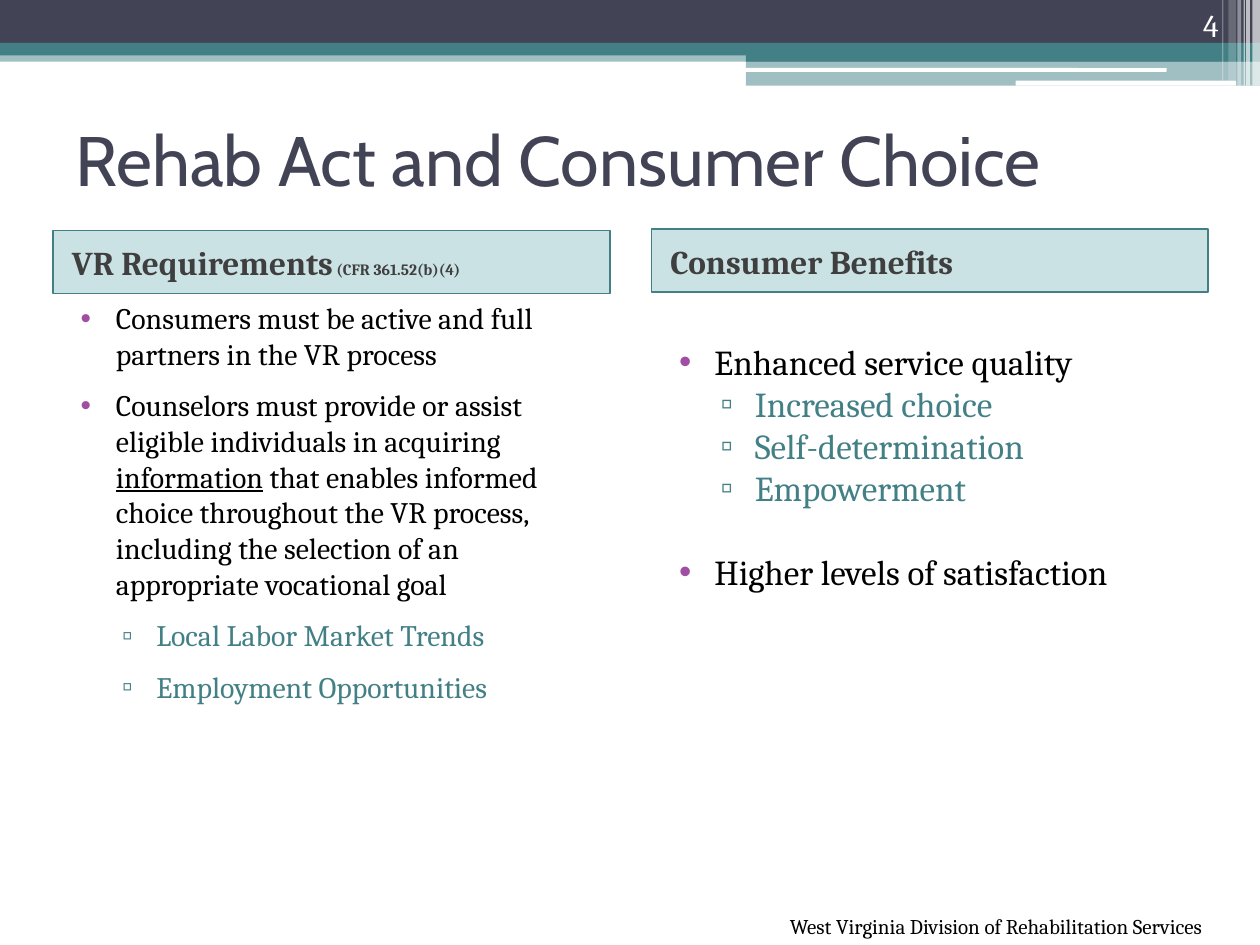
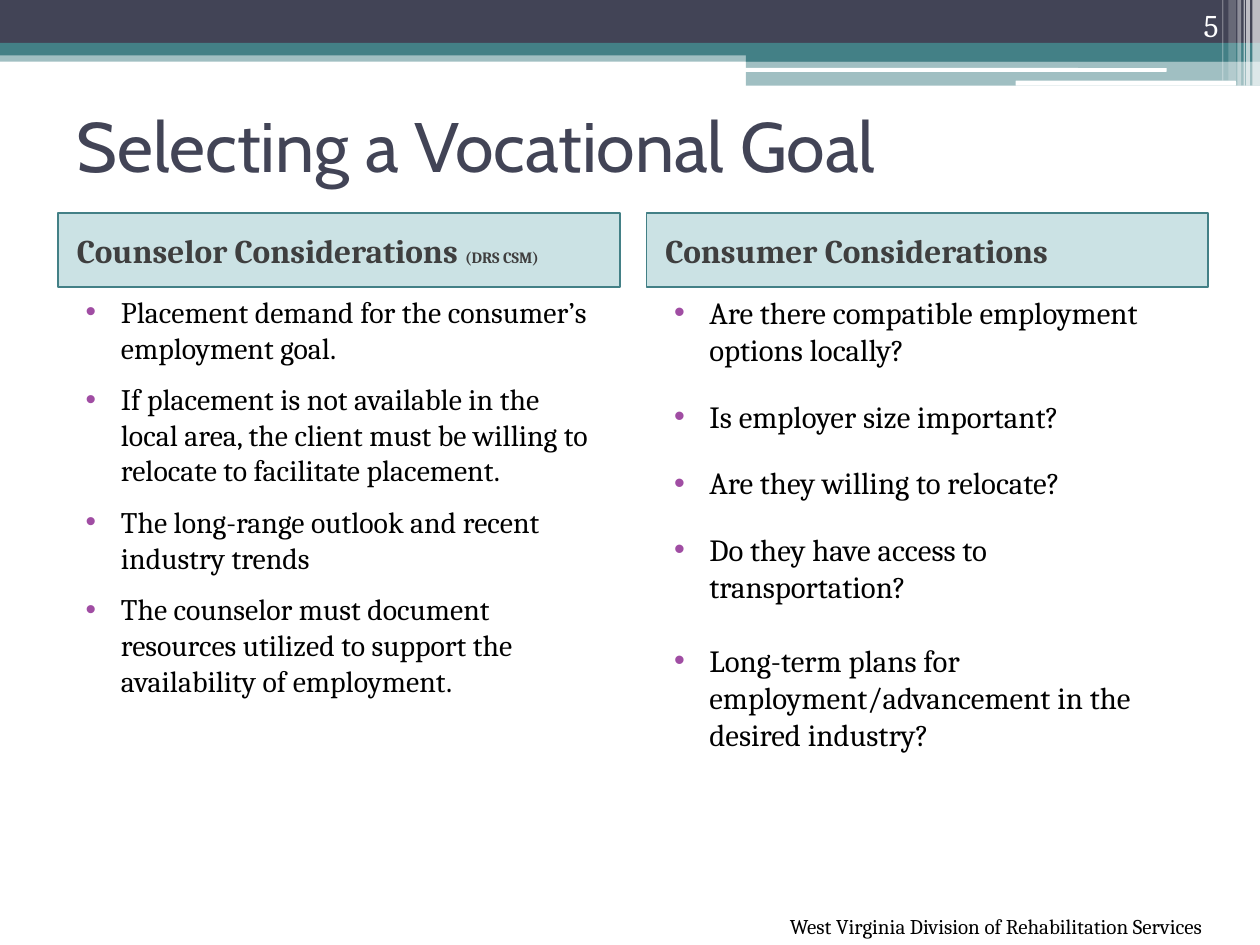
from dataclasses import dataclass

from lxml.etree import SubElement
from pptx import Presentation
from pptx.dml.color import RGBColor
from pptx.enum.shapes import MSO_SHAPE as Preset
from pptx.enum.text import MSO_ANCHOR as Anchor, MSO_AUTO_SIZE as AutoSize, PP_ALIGN as Align
from pptx.oxml.ns import qn
from pptx.util import Inches, Pt


@dataclass(frozen=True)
class Theme:
    navy: str = "424456"
    teal: str = "438086"
    label_fill: str = "328E97"
    label_text: str = "3F3F3F"
    purple: str = "A04DA3"
    white: str = "FFFFFF"
    black: str = "000000"
    title_font: str = "Cabin"
    body_font: str = "Cambria"
    title_size: float = 40
    label_size: float = 19
    note_size: float = 9
    number_size: float = 18
    footer_size: float = 12


THEME = Theme()
WIDTH, HEIGHT = 10, 7.5
LIST_SIZE = (4.42, 4.25)
COMPARISON_LAYOUT = 4

# ---- Content: list items are (level, runs, formats that differ from the list's) ----
FOOTER = "West Virginia Division of Rehabilitation Services"
SPACED = {"space_before": Pt(3), "space_after": Pt(6)}
DOUBLE = {"line_spacing": 2.0}
GAP = {"space_before": Pt(17)}

SLIDES = [
    {
        "number": 4,
        "title": "Rehab Act and Consumer Choice",
        "title_box": (0.5, 0.67, 9, 1.17),
        "label_size": (4.42, 0.5),
        "columns": [
            {
                "at": (0.42, 1.83),
                "label": "VR Requirements",
                "note": " (CFR 361.52(b)(4)",
                "size": 17,
                "format": SPACED,
                "items": [
                    (0, ["Consumers must be active and full partners in the VR process"], {}),
                    (0, ["Counselors must provide or assist eligible individuals in acquiring ",
                         ("information", {"underline": True}),
                         " that enables informed choice throughout the VR process, including "
                         "the selection of an appropriate vocational goal"], {}),
                    (1, ["Local Labor Market Trends"], {}),
                    (1, ["Employment Opportunities"], {}),
                ],
            },
            {
                "at": (5.17, 1.82),
                "label": "Consumer Benefits",
                "note": "",
                "size": 20,
                "format": {},
                "items": [
                    (0, ["Enhanced service quality"], DOUBLE),
                    (1, ["Increased choice"], {}),
                    (1, ["Self-determination"], {}),
                    (1, ["Empowerment"], {}),
                    (0, ["Higher levels of satisfaction"], DOUBLE),
                ],
            },
        ],
    },
    {
        "number": 5,
        "title": "Selecting a Vocational Goal",
        "title_box": (0.51, 0.56, 9.17, 1.17),
        "label_size": (4.46, 0.59),
        "columns": [
            {
                "at": (0.46, 1.69),
                "label": "Counselor Considerations ",
                "note": "(DRS CSM)",
                "size": 17,
                "format": SPACED,
                "items": [
                    (0, ["Placement demand for the consumer’s employment goal."], {}),
                    (0, ["If placement is not available in the local area, the client must "
                         "be willing to relocate to facilitate placement."], {}),
                    (0, ["The long-range outlook and recent industry trends"], {}),
                    (0, ["The counselor must document resources utilized to support the "
                         "availability of employment."], {}),
                ],
            },
            {
                "at": (5.13, 1.69),
                "label": "Consumer Considerations",
                "note": "",
                "size": 17.6,
                "format": GAP,
                "items": [
                    (0, ["Are there compatible employment options locally?"], {}),
                    (0, ["Is employer size important?"], {}),
                    (0, ["Are they willing to relocate?"], {}),
                    (0, ["Do they have access to transportation?"], {}),
                    (0, ["Long-term plans for employment/advancement in the desired industry?"],
                     {"space_before": Pt(21)}),
                ],
            },
        ],
    },
]

# ---- Shared design: left, top, width, height, colour, opacity in percent ----
BANDS = [
    (0, 0.4, WIDTH, 0.09, THEME.teal, 50),
    (0, 0, WIDTH, 0.34, THEME.navy, 100),
    (0, 0.34, WIDTH, 0.1, THEME.teal, 100),
    (5.92, 0.39, 4.08, 0.1, THEME.teal, 100),
    (5.92, 0.48, 4.08, 0.2, THEME.teal, 50),
]
RULES = [
    (5.91, 0.54, 3.35, 0.03, THEME.white, 100),
    (8.06, 0.64, 1.75, 0.04, THEME.white, 100),
]
# left, width, height, opacity
STRIPES = [
    (9.94, 0.06, 0.68, 65),
    (9.89, 0.03, 0.68, 65),
    (9.87, 0.01, 0.68, 60),
    (9.82, 0.03, 0.68, 40),
    (9.75, 0.06, 0.64, 20),
    (9.7, 0.01, 0.64, 30),
]
# bullet, bullet colour, text colour, left margin, first-line indent
LEVELS = [
    ("•", THEME.purple, THEME.black, 0.4, -0.28),
    ("▫", THEME.teal, THEME.teal, 0.72, -0.27),
]


# ---- Helpers ----
def apply_format(target, values):
    for name, value in values.items():
        setattr(target, name, value)


def place(shape, left, top, width, height):
    apply_format(shape, {"left": Inches(left), "top": Inches(top),
                         "width": Inches(width), "height": Inches(height)})


def paint(shape, colour, opacity):
    shape.fill.solid()
    shape.fill.fore_color.rgb = RGBColor.from_string(colour)
    if opacity < 100:
        colour_element = shape.element.spPr.find(qn("a:solidFill"))[0]
        SubElement(colour_element, qn("a:alpha"), val=str(opacity * 1000))


def add_run(paragraph, text, size, colour, font=THEME.body_font, **extra):
    run = paragraph.add_run()
    run.text = text
    apply_format(run.font, {"name": font, "size": Pt(size), "bold": False, **extra})
    run.font.color.rgb = RGBColor.from_string(colour)


def prepare_text(shape, anchor, align=Align.LEFT):
    frame = shape.text_frame
    apply_format(frame, {"word_wrap": True, "auto_size": AutoSize.NONE,
                         "vertical_anchor": anchor})
    paragraph = frame.paragraphs[0]
    apply_format(paragraph, {"alignment": align, "space_before": Pt(0)})
    return paragraph


def set_indent(paragraph, margin, indent):
    properties = paragraph._p.get_or_add_pPr()
    properties.set("marL", str(Inches(margin)))
    properties.set("indent", str(Inches(indent)))
    return properties


def add_text(slide, box, text, size, colour, anchor, align):
    shape = slide.shapes.add_textbox(*map(Inches, box))
    add_run(prepare_text(shape, anchor, align), text, size, colour)
    return shape


# ---- Shared parts, moved onto the layout ----
def decorate_layout(layout, slide):
    stripes = [(left, 0, width, height, THEME.white, opacity)
               for left, width, height, opacity in STRIPES]
    parts = [(Preset.RECTANGLE, band) for band in BANDS]
    parts += [(Preset.ROUNDED_RECTANGLE, rule) for rule in RULES]
    parts += [(Preset.RECTANGLE, stripe) for stripe in stripes]
    shapes = []
    for preset, (*box, colour, opacity) in parts:
        shape = slide.shapes.add_shape(preset, *map(Inches, box))
        shape.shadow.inherit = False
        shape.line.fill.background()
        paint(shape, colour, opacity)
        shapes.append(shape)
    shapes.append(add_text(slide, (6.17, 7.2, 3.83, 0.3), FOOTER, THEME.footer_size,
                           THEME.black, Anchor.TOP, Align.LEFT))
    for number, shape in enumerate(shapes, start=100):
        shape.element.nvSpPr.cNvPr.set("id", str(number))
        layout.shapes.element.append(shape.element)


# ---- Slide parts ----
def fill_title(shape, text, box):
    place(shape, *box)
    add_run(prepare_text(shape, Anchor.MIDDLE), text, THEME.title_size,
            THEME.navy, THEME.title_font)


def fill_label(shape, column, size):
    place(shape, *column["at"], *size)
    paint(shape, THEME.label_fill, 25)
    shape.line.color.rgb = RGBColor.from_string(THEME.teal)
    shape.line.width = Pt(1)
    paragraph = prepare_text(shape, Anchor.MIDDLE)
    set_indent(paragraph, 0.05, 0)
    for text, points in ((column["label"], THEME.label_size), (column["note"], THEME.note_size)):
        if text:
            add_run(paragraph, text, points, THEME.label_text, bold=True)


def fill_list(shape, column, label_height):
    left, top = column["at"]
    place(shape, left, top + label_height, *LIST_SIZE)
    first = prepare_text(shape, Anchor.TOP)
    for index, (level, runs, formats) in enumerate(column["items"]):
        paragraph = shape.text_frame.add_paragraph() if index else first
        bullet, bullet_colour, colour, margin, indent = LEVELS[level]
        properties = set_indent(paragraph, margin, indent)
        bullet_fill = SubElement(properties, qn("a:buClr"))
        SubElement(bullet_fill, qn("a:srgbClr"), val=bullet_colour)
        SubElement(properties, qn("a:buChar"), char=bullet)
        values = {"level": level, "space_before": Pt(0), **column["format"], **formats}
        if index == 0:
            values["space_before"] = Pt(0)
        apply_format(paragraph, values)
        for run in runs:
            text, extra = (run, {}) if isinstance(run, str) else run
            add_run(paragraph, text, column["size"], colour, **extra)


def build_slide(slide, content):
    title, *column_shapes = slide.placeholders
    fill_title(title, content["title"], content["title_box"])
    pairs = zip(column_shapes[::2], column_shapes[1::2])
    for (label, body), column in zip(pairs, content["columns"]):
        fill_label(label, column, content["label_size"])
        fill_list(body, column, content["label_size"][1])
    add_text(slide, (8.94, 0, 0.83, 0.4), str(content["number"]), THEME.number_size,
             THEME.white, Anchor.BOTTOM, Align.RIGHT)


def main():
    presentation = Presentation()
    presentation.slide_width, presentation.slide_height = Inches(WIDTH), Inches(HEIGHT)
    layout = presentation.slide_layouts[COMPARISON_LAYOUT]
    slides = [presentation.slides.add_slide(layout) for _ in SLIDES]
    decorate_layout(layout, slides[0])
    for slide, content in zip(slides, SLIDES):
        build_slide(slide, content)
    presentation.save("out.pptx")


if __name__ == "__main__":
    main()
